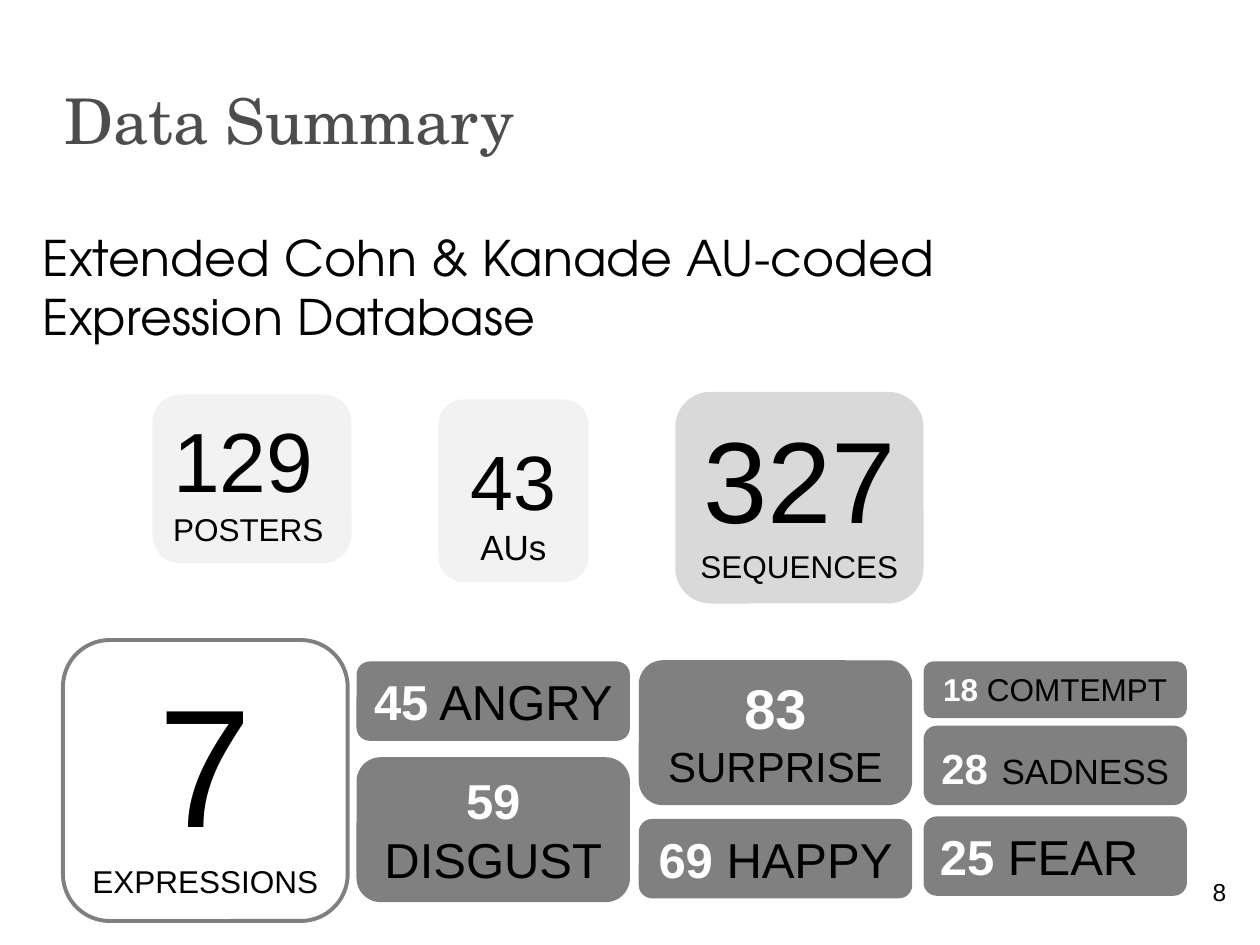
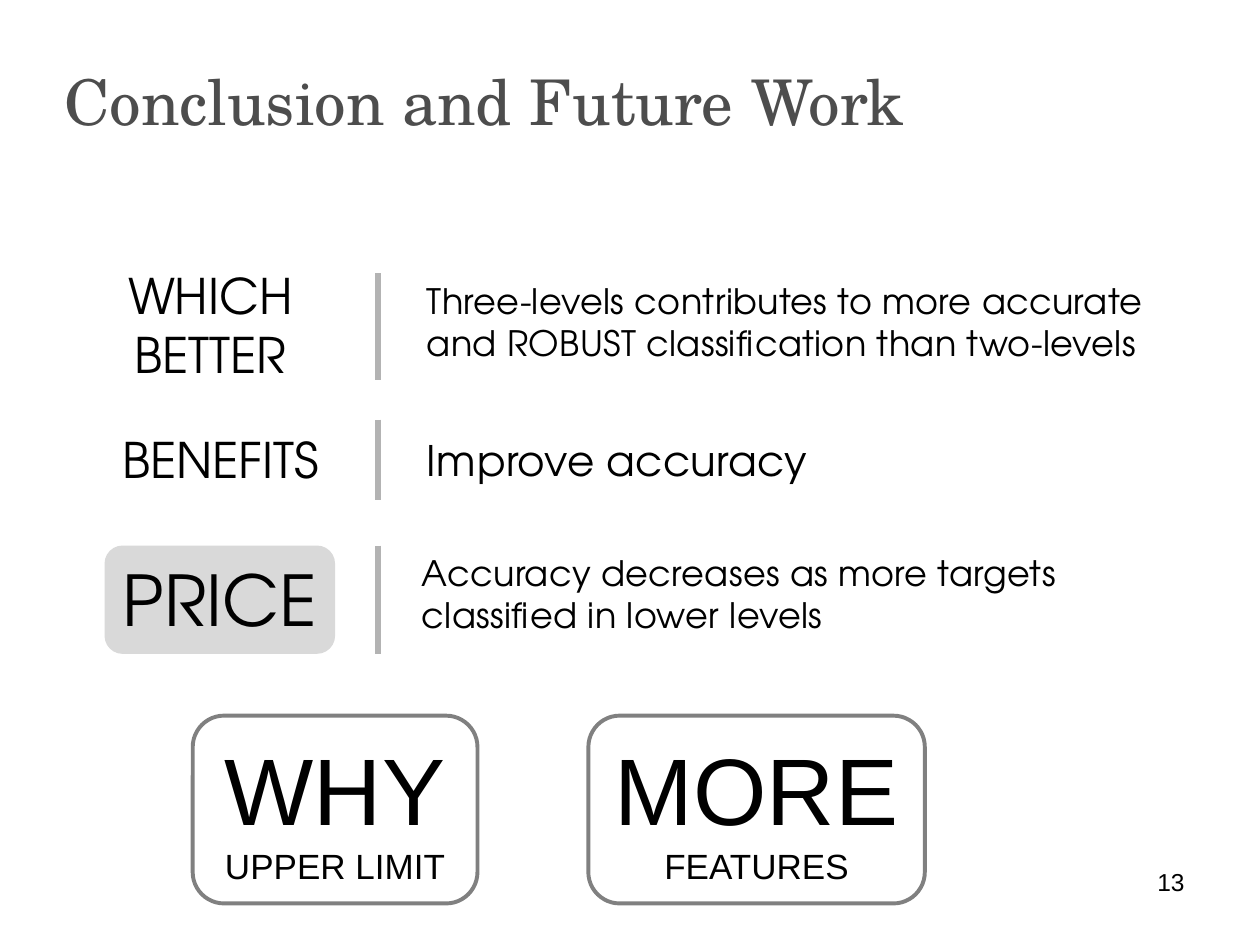
from dataclasses import dataclass

from pptx import Presentation
from pptx.dml.color import RGBColor
from pptx.enum.shapes import MSO_CONNECTOR, MSO_SHAPE
from pptx.enum.text import MSO_ANCHOR, MSO_AUTO_SIZE, PP_ALIGN
from pptx.oxml.ns import qn
from pptx.util import Emu, Pt
from lxml import etree

LEFT, CENTER, RIGHT = PP_ALIGN.LEFT, PP_ALIGN.CENTER, PP_ALIGN.RIGHT
MIDDLE = MSO_ANCHOR.MIDDLE
FIT_SHAPE, NO_FIT = MSO_AUTO_SIZE.SHAPE_TO_FIT_TEXT, MSO_AUTO_SIZE.NONE
ROUNDED, STRAIGHT = MSO_SHAPE.ROUNDED_RECTANGLE, MSO_CONNECTOR.STRAIGHT
EMU_PER_PX = 9144
TITLE_ONLY = 5


@dataclass(frozen=True)
class Theme:
    """Colours, fonts and type sizes shared by the slides."""

    ink: str = "000000"
    white: str = "FFFFFF"
    heading: str = "4D4D4D"
    pale: str = "F2F2F2"
    light: str = "D9D9D9"
    rule: str = "B3B3B3"
    dark: str = "808080"
    title_font: str = "TeX Gyre Schola"
    body_font: str = "TeX Gyre Adventor"
    tile_font: str = "Arial"
    title: int = 36
    number: int = 14
    caption: int = 18
    body: int = 20
    benefit: int = 24
    lead: int = 28
    count: int = 32
    price: int = 40
    units: int = 44
    posters: int = 48
    headline: int = 54
    sequences: int = 66
    expressions: int = 96
    outline: float = 2.25
    rule_width: int = 3
    tracking: int = 20


THEME = Theme()


def px(length):
    """Turn px into EMU."""
    return Emu(length * EMU_PER_PX)


def rgb(value):
    """Turn a hex string into a colour."""
    return RGBColor.from_string(value)


def style_font(font, size, color, name=None, bold=False):
    """Apply size, colour, weight and optionally a typeface."""
    font.size, font.bold = Pt(size), bold
    font.color.rgb = rgb(color)
    if name:
        font.name = name


def write_lines(frame, lines, name, align=LEFT, color=THEME.ink, tracking=None):
    """Write (text, size) pairs as paragraphs that share one typeface."""
    frame.word_wrap = True
    for index, (text, size) in enumerate(lines):
        paragraph = frame.add_paragraph() if index else frame.paragraphs[0]
        paragraph.text, paragraph.alignment = text, align
        style_font(paragraph.font, size, color, name)
        if tracking:
            defaults = paragraph._p.get_or_add_pPr().find(qn("a:defRPr"))
            defaults.set("spc", str(tracking))


def add_titled_slide(deck, title, number, number_at, line_spacing=1.0):
    """Add a slide with its title and slide number."""
    slide = deck.slides.add_slide(deck.slide_layouts[TITLE_ONLY])
    heading = slide.shapes.title
    heading.left, heading.top, heading.width, heading.height = map(px, (41, 17, 749, 125))
    frame = heading.text_frame
    frame.auto_size, frame.vertical_anchor = NO_FIT, MIDDLE
    write_lines(frame, [(title, THEME.title)], THEME.title_font, color=THEME.heading)
    frame.paragraphs[0].line_spacing = line_spacing
    page = slide.shapes.add_textbox(*map(px, (*number_at, 233, 52)))
    write_lines(page.text_frame, [(number, THEME.number)], THEME.tile_font, RIGHT)
    return slide


def add_statement(slide, box, lines):
    """Add a spaced body text box."""
    frame = slide.shapes.add_textbox(*map(px, box)).text_frame
    frame.auto_size = FIT_SHAPE
    write_lines(frame, lines, THEME.body_font, tracking=THEME.tracking)


def add_tile(slide, box, fill=None, outline=None):
    """Add a rounded tile and return its text frame."""
    tile = slide.shapes.add_shape(ROUNDED, *map(px, box))
    tile.shadow.inherit = False
    if fill:
        tile.fill.solid()
        tile.fill.fore_color.rgb = rgb(fill)
    else:
        tile.fill.background()
    if outline:
        tile.line.color.rgb, tile.line.width = rgb(outline), Pt(THEME.outline)
    else:
        tile.line.fill.background()
    frame = tile.text_frame
    frame.word_wrap, frame.auto_size = True, FIT_SHAPE
    frame.vertical_anchor = MSO_ANCHOR.TOP
    return frame


def add_figure_tile(slide, box, lines, fill=None, outline=None, align=CENTER):
    """Add a tile with a large figure or word above a caption."""
    frame = add_tile(slide, box, fill, outline)
    write_lines(frame, lines, THEME.tile_font, align)
    return frame


def add_expression_tile(slide, box, count, label, sizes, align=CENTER):
    """Add a dark tile with a bold white count and a black label."""
    paragraph = add_tile(slide, box, THEME.dark).paragraphs[0]
    paragraph.alignment = align
    paragraph.font.name = THEME.tile_font
    parts = ((count, THEME.white, True), (" ", THEME.ink, False), (label, THEME.ink, False))
    for (text, color, bold), size in zip(parts, sizes):
        run = paragraph.add_run()
        run.text = text
        style_font(run.font, size, color, bold=bold)


def add_divider(slide, top, bottom, x=300):
    """Add a vertical rule between a topic and its finding."""
    divider = slide.shapes.add_connector(STRAIGHT, *map(px, (x, top, x, bottom)))
    divider.line.color.rgb, divider.line.width = rgb(THEME.rule), Pt(THEME.rule_width)
    etree.SubElement(divider._element.spPr, qn("a:effectLst"))


def build_data_summary(deck):
    """Build the overview of the expression database."""
    slide = add_titled_slide(deck, "Data Summary", "8", (750, 691), 1.5)
    add_statement(slide, (24, 176, 926, 104), [
        ("Extended Cohn & Kanade AU-coded", THEME.lead),
        ("Expression Database", THEME.lead)])
    add_figure_tile(slide, (121, 313, 158, 134), [
        ("129", THEME.posters), ("POSTERS", THEME.caption)], THEME.pale, align=LEFT)
    add_figure_tile(slide, (536, 311, 197, 168), [
        ("327", THEME.sequences), ("SEQUENCES", THEME.caption)], THEME.light)
    units = add_figure_tile(slide, (348, 317, 119, 145), [
        ("43", THEME.units), ("AUs", THEME.body)], THEME.pale)
    units.paragraphs[0].line_spacing = THEME.headline / THEME.units
    add_figure_tile(slide, (50, 508, 226, 223), [
        ("7", THEME.expressions), ("EXPRESSIONS", THEME.caption)], outline=THEME.dark)

    even = (THEME.lead,) * 3
    small = (THEME.caption,) * 3
    surprise = (THEME.count, THEME.lead, THEME.benefit)
    sadness = (THEME.benefit, THEME.lead, THEME.body)
    columns = (
        (283, 217, ((525, 63, "45", "ANGRY", even, CENTER),
                    (601, 115, "59", "DISGUST", even, CENTER))),
        (507, 217, ((524, 115, "83", "SURPRISE", surprise, CENTER),
                    (650, 63, "69", "HAPPY", even, CENTER))),
        (733, 209, ((525, 45, "18", "COMTEMPT", small, CENTER),
                    (576, 63, "28", "SADNESS", sadness, CENTER),
                    (648, 63, "25", "FEAR", even, LEFT))),
    )
    for left, width, expressions in columns:
        for top, height, *content in expressions:
            add_expression_tile(slide, (left, top, width, height), *content)


def build_conclusion(deck):
    """Build the findings and the future work."""
    slide = add_titled_slide(deck, "Conclusion and Future Work", "13", (717, 683))
    findings = (
        ((67, 200, 200, 115), ("WHICH", "BETTER"), THEME.lead, None, (217, 302),
         (329, 217, 650, 77), THEME.body,
         "Three-levels contributes to more accurate and ROBUST classification than two-levels"),
        ((75, 333, 200, 63), ("BENEFITS",), THEME.lead, THEME.white, (333, 397),
         (329, 340, 339, 50), THEME.benefit, "Improve accuracy"),
        ((83, 433, 183, 86), ("PRICE",), THEME.price, THEME.light, (433, 519),
         (325, 433, 533, 77), THEME.body,
         "Accuracy decreases as more targets classified in lower levels"),
    )
    for topic_box, topic, topic_size, fill, span, box, size, finding in findings:
        frame = add_tile(slide, topic_box, fill)
        write_lines(frame, [(word, topic_size) for word in topic], THEME.body_font, CENTER)
        add_divider(slide, *span)
        add_statement(slide, box, [(finding, size)])

    for left, width, word, caption in ((153, 226, "WHY", "UPPER LIMIT"),
                                       (467, 267, "MORE", "FEATURES")):
        add_figure_tile(slide, (left, 568, width, 149), [
            (word, THEME.headline), (caption, THEME.body)], outline=THEME.dark)


def main():
    """Build and save the presentation."""
    deck = Presentation()
    deck.slide_width, deck.slide_height = px(1000), px(750)
    build_data_summary(deck)
    build_conclusion(deck)
    deck.save("out.pptx")


if __name__ == "__main__":
    main()
